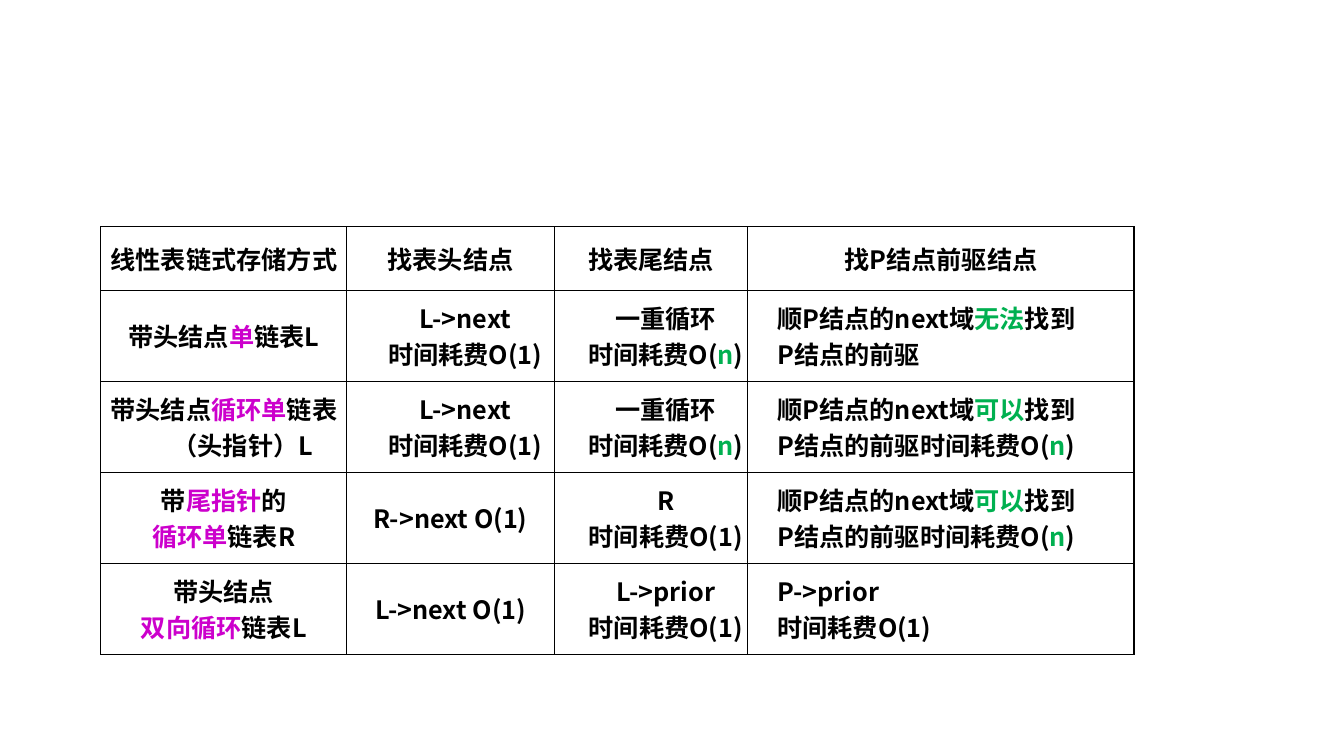
from dataclasses import dataclass

from lxml import etree
from pptx import Presentation, util as u
from pptx.dml.color import RGBColor
from pptx.enum import text
from pptx.oxml import ns


@dataclass(frozen=True)
class Theme:
    font: str = "Noto Sans CJK SC"
    size: float = 18
    ink: str = "000000"
    structure: str = "CC00CC"
    result: str = "00B050"
    border_width: float = 1
    margin: float = 27
    hanging: float = 27
    short_hanging: float = 6


COLUMN_WIDTHS = [175.7, 148.3, 138.2, 275.8]
ROW_HEIGHTS = [45.3] + [65] * 4

# Text between bars is emphasised; a line break starts a new paragraph.
HEAD_CONSTANT = "L->next\n时间耗费O(1)"
TAIL_LOOP = "一重循环\n时间耗费O(|n|)"
PREVIOUS_LOOP = "顺P结点的next域|可以|找到\nP结点的前驱时间耗费O(|n|)"
LIST_COMPARISON = [
    ["线性表链式存储方式", "找表头结点", "找表尾结点", "找P结点前驱结点"],
    ["带头结点|单|链表L", HEAD_CONSTANT, TAIL_LOOP,
     "顺P结点的next域|无法|找到\nP结点的前驱"],
    ["带头结点|循环单|链表（头指针）L", HEAD_CONSTANT, TAIL_LOOP, PREVIOUS_LOOP],
    ["带|尾指针|的\n|循环单|链表R", "R->next O(1)", "R\n时间耗费O(1)", PREVIOUS_LOOP],
    ["带头结点\n|双向循环|链表L", "L->next O(1)", "L->prior\n时间耗费O(1)",
     "P->prior\n时间耗费O(1)"],
]


class SlideBuilder:
    def __init__(self, slide, theme):
        self.slide = slide
        self.theme = theme

    def add_table(self, left, top, widths, heights, rows):
        frame = self.slide.shapes.add_table(
            len(heights), len(widths), u.Pt(left), u.Pt(top),
            u.Pt(sum(widths)), u.Pt(sum(heights)))
        table = frame.table
        table.first_row = table.horz_banding = False
        for column, width in zip(table.columns, widths):
            column.width = u.Pt(width)
        for row, height in zip(table.rows, heights):
            row.height = u.Pt(height)
        for row_index, row in enumerate(rows):
            for column_index, content in enumerate(row):
                cell = table.cell(row_index, column_index)
                self.style_cell(cell)
                centred = row_index == 0 or column_index < len(widths) - 1
                self.write_cell(cell, content, column_index == 0, centred)

    def style_cell(self, cell):
        cell.margin_left = cell.margin_right = 0
        cell.margin_top = cell.margin_bottom = 0
        cell.vertical_anchor = text.MSO_ANCHOR.MIDDLE
        properties = cell._tc.get_or_add_tcPr()
        for side in "LRTB":
            line = etree.SubElement(properties, ns.qn(f"a:ln{side}"),
                                    w=str(u.Pt(self.theme.border_width)))
            fill = etree.SubElement(line, ns.qn("a:solidFill"))
            etree.SubElement(fill, ns.qn("a:srgbClr"), val=self.theme.ink)
        cell.fill.background()

    def write_cell(self, cell, content, is_list_name, centred):
        theme = self.theme
        lines = content.split("\n")
        cell.text_frame.text = "\n".join([""] * len(lines))
        accent = theme.structure if is_list_name else theme.result
        fully_hung = is_list_name or len(lines) == 1
        hanging = theme.hanging if fully_hung else theme.short_hanging
        for paragraph, line in zip(cell.text_frame.paragraphs, lines):
            paragraph.alignment = (text.PP_ALIGN.CENTER if centred
                                   else text.PP_ALIGN.LEFT)
            properties = paragraph._p.get_or_add_pPr()
            properties.set("marL", str(u.Pt(theme.margin)))
            properties.set("indent", str(-u.Pt(hanging)))
            for index, piece in enumerate(line.split("|")):
                if piece:
                    run = paragraph.add_run()
                    run.text = piece
                    self.style_run(run, accent if index % 2 else theme.ink)

    def style_run(self, run, color):
        run.font.name = self.theme.font
        run.font.size = u.Pt(self.theme.size)
        run.font.bold = True
        run.font.color.rgb = RGBColor.from_string(color)
        etree.SubElement(run.font._element, ns.qn("a:ea"),
                         typeface=self.theme.font)


def main():
    presentation = Presentation()
    presentation.slide_width = u.Pt(960)
    presentation.slide_height = u.Pt(540)
    slide = presentation.slides.add_slide(presentation.slide_layouts[6])
    builder = SlideBuilder(slide, Theme())
    builder.add_table(72, 162, COLUMN_WIDTHS, ROW_HEIGHTS, LIST_COMPARISON)
    presentation.save("out.pptx")


if __name__ == "__main__":
    main()
